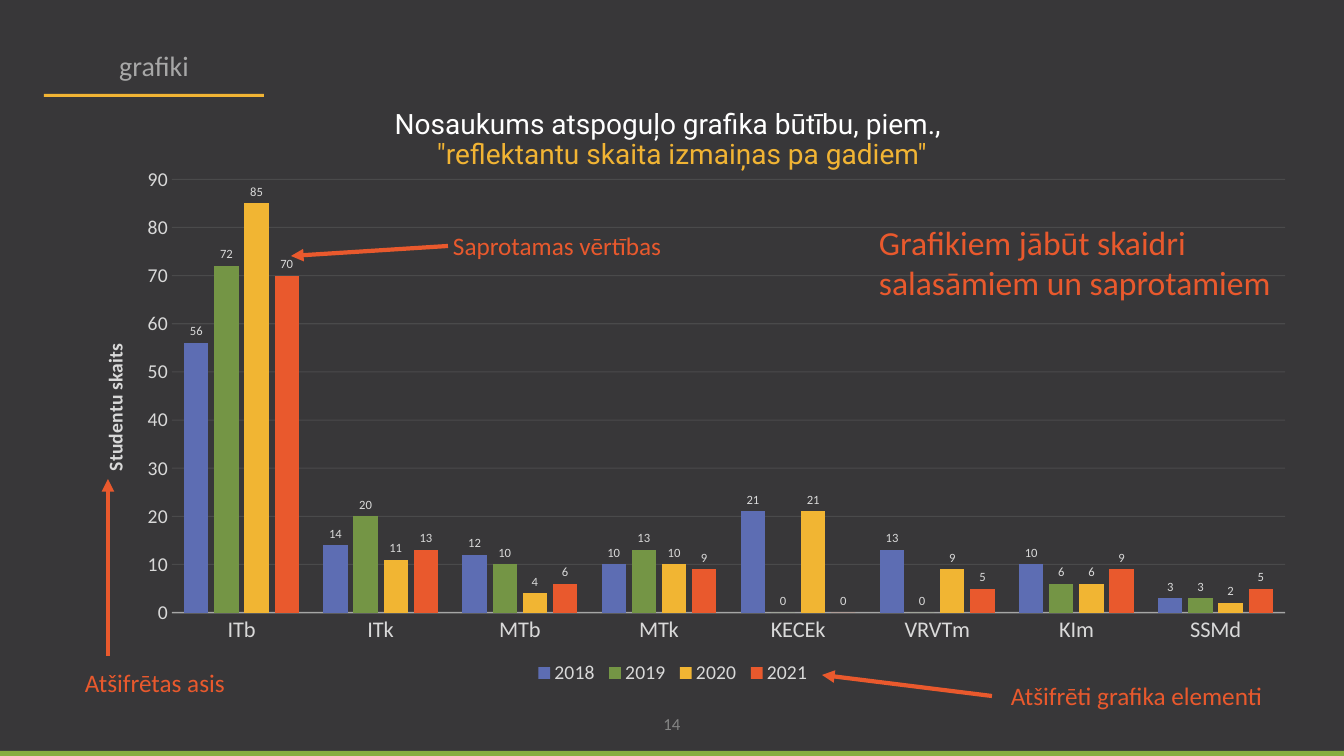
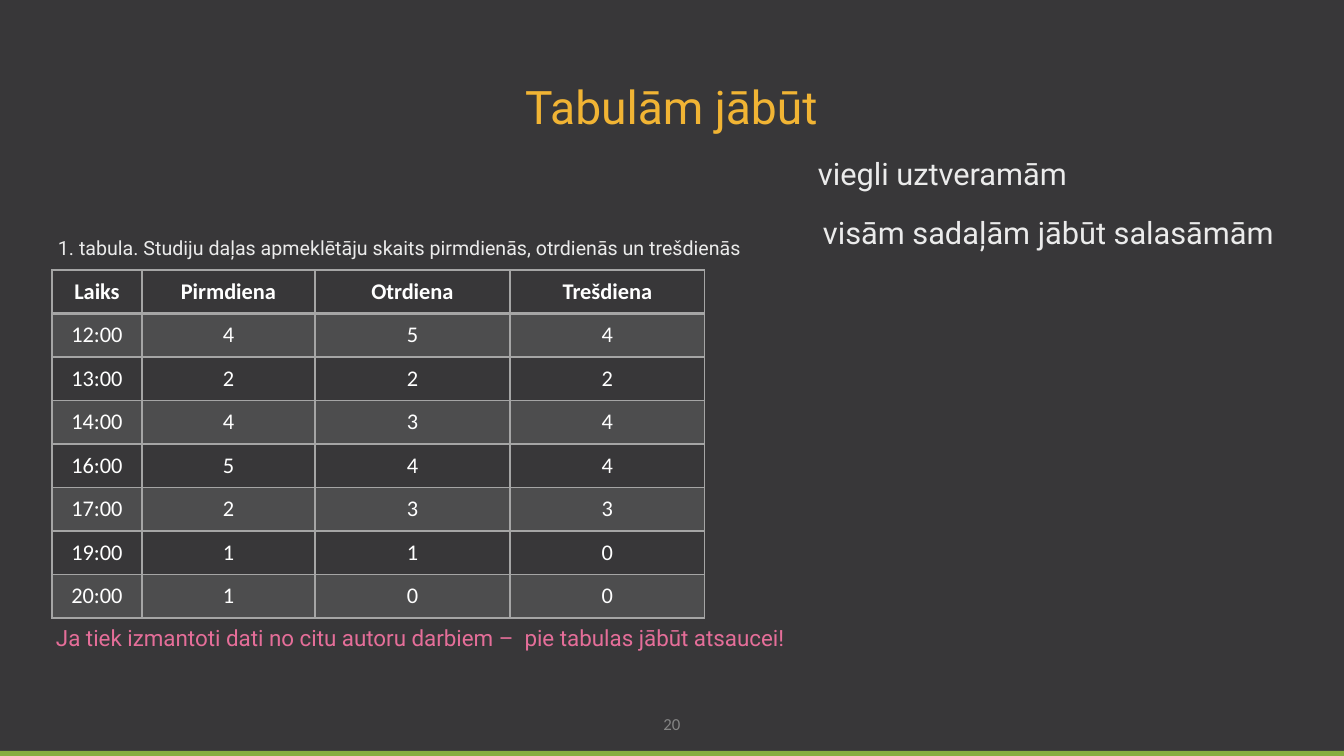
from dataclasses import dataclass
from typing import Any, Optional, Sequence

from lxml.etree import SubElement
from pptx import Presentation
from pptx.chart.data import CategoryChartData
from pptx.dml.color import RGBColor
from pptx.enum.chart import XL_CHART_TYPE as ChartType
from pptx.enum.chart import XL_LABEL_POSITION as LabelPosition
from pptx.enum.chart import XL_LEGEND_POSITION as LegendPosition
from pptx.enum.chart import XL_TICK_MARK as TickMark
from pptx.enum.shapes import MSO_CONNECTOR as Connector
from pptx.enum.shapes import MSO_SHAPE as Shape
from pptx.enum.text import MSO_ANCHOR as Anchor
from pptx.enum.text import MSO_AUTO_SIZE as AutoSize
from pptx.enum.text import PP_ALIGN as Align
from pptx.oxml.ns import qn
from pptx.util import Emu, Pt

# Shared look
EMU_PER_PX = 914400 / 100.8
WIDTH, HEIGHT = 1344, 756
COLORS = {
    "background": "383739", "white": "FFFFFF", "body": "EBEBEB",
    "section": "A7A7A7", "number": "858585", "band": "86AD3F",
    "accent": "F1B434", "callout": "E9592D", "note": "E56E99",
    "grid": "A5A5A5", "axis": "D9D9D9", "rule": "F2F2F2",
    "2018": "5D6DB3", "2019": "749545", "2020": "F1B533", "2021": "E9592D",
}


@dataclass(frozen=True)
class Box:
    left: int
    top: int
    width: int
    height: int

    def emu(self) -> tuple[Emu, ...]:
        return tuple(px(v) for v in (self.left, self.top, self.width, self.height))


@dataclass(frozen=True)
class Line:
    text: str
    size: int
    color: str
    font: str = "Roboto"
    align: Align = Align.LEFT
    spacing: float = 0.9
    before: int = 0
    indent: int = 0


@dataclass(frozen=True)
class Callout:
    text: str
    box: Box
    size: int = 18


@dataclass(frozen=True)
class Arrow:
    start: tuple[int, int]
    end: tuple[int, int]


def px(value: float) -> Emu:
    return Emu(round(value * EMU_PER_PX))


def rgb(name: str) -> RGBColor:
    return RGBColor.from_string(COLORS[name])


def set_all(target: Any, values: dict[str, Any]) -> None:
    for name, value in values.items():
        setattr(target, name, value)


def set_font(font: Any, size: int, color: str, name: str = "Calibri",
             bold: bool = False) -> None:
    set_all(font, {"name": name, "size": Pt(size), "bold": bold})
    font.color.rgb = rgb(color)


def fade(root: Any, percent: int) -> None:
    """Give every colour below root the same opacity."""
    for color in root.iter(qn("a:srgbClr")):
        SubElement(color, qn("a:alpha"), val=str(percent * 1000))


# Text
def write(frame: Any, lines: Sequence[Line], inset: int = 5,
          anchor: Anchor = Anchor.MIDDLE) -> None:
    set_all(frame, {"word_wrap": True, "auto_size": AutoSize.NONE,
                    "vertical_anchor": anchor})
    set_all(frame, {f"margin_{side}": px(inset)
                    for side in ("left", "right", "top", "bottom")})
    for index, line in enumerate(lines):
        para = frame.add_paragraph() if index else frame.paragraphs[0]
        set_all(para, {"alignment": line.align, "line_spacing": line.spacing,
                       "space_before": Pt(line.before), "space_after": Pt(0)})
        properties = para._p.get_or_add_pPr()
        properties.set("marL", str(px(line.indent)))
        properties.set("indent", "0")
        SubElement(properties, qn("a:buNone"))
        span = para.add_run()
        span.text = line.text
        set_font(span.font, line.size, line.color, line.font)


def add_text(page: Any, box: Box, lines: Sequence[Line], inset: int = 5,
             anchor: Anchor = Anchor.MIDDLE) -> None:
    write(page.shapes.add_textbox(*box.emu()).text_frame, lines, inset, anchor)


def fill_placeholder(holder: Any, box: Box, lines: Sequence[Line],
                     inset: int = 5) -> None:
    set_all(holder, dict(zip(("left", "top", "width", "height"), box.emu())))
    write(holder.text_frame, lines, inset)


# Simple shapes
def add_bar(page: Any, box: Box, color: str) -> None:
    bar = page.shapes.add_shape(Shape.RECTANGLE, *box.emu())
    bar.shadow.inherit = False
    bar.fill.solid()
    bar.fill.fore_color.rgb = rgb(color)
    bar.line.fill.background()


def add_arrow(page: Any, arrow: Arrow) -> None:
    points = (px(v) for v in arrow.start + arrow.end)
    link = page.shapes.add_connector(Connector.STRAIGHT, *points)
    link.line.color.rgb = rgb("callout")
    link.line.width = Pt(3)
    SubElement(link.line._ln, qn("a:tailEnd"), type="triangle")
    SubElement(link._element.spPr, qn("a:effectLst"))


def add_page(deck: Any, layout: int, number: int) -> Any:
    page = deck.slides.add_slide(deck.slide_layouts[layout])
    add_text(page, Box(0, 709, WIDTH, 29),
             [Line(str(number), 12, "number", "Calibri", Align.CENTER, 1)])
    add_bar(page, Box(0, 751, WIDTH, 10), "band")
    return page


# Chart
CATEGORIES = ("ITb", "ITk", "MTb", "MTk", "KECEk", "VRVTm", "KIm", "SSMd")
APPLICANTS = {
    "2018": (56, 14, 12, 10, 21, 13, 10, 3),
    "2019": (72, 20, 10, 13, 0, 0, 6, 3),
    "2020": (85, 11, 4, 10, 21, 9, 6, 2),
    "2021": (70, 13, 6, 9, 0, 5, 9, 5),
}


def place(part: Any, index: int, inner: bool = False, **fractions: float) -> None:
    """Put a chart part at fractions of the chart area."""
    for old in part.findall(qn("c:layout")):
        part.remove(old)
    layout = SubElement(part, qn("c:layout"))
    part.insert(index, layout)
    manual = SubElement(layout, qn("c:manualLayout"))
    values = {"layoutTarget": "inner"} if inner else {}
    values |= {"xMode": "edge", "yMode": "edge"} | fractions
    for name, value in values.items():
        SubElement(manual, qn(f"c:{name}"), val=str(value))


def style_axes(chart: Any) -> None:
    names, values = chart.category_axis, chart.value_axis
    for axis, size in ((names, 16), (values, 14)):
        set_all(axis, {"major_tick_mark": TickMark.NONE,
                       "minor_tick_mark": TickMark.NONE})
        set_font(axis.tick_labels.font, size, "axis")
    names.format.line.color.rgb = rgb("rule")
    names.format.line.width = Pt(1)
    fade(names._element.find(qn("c:spPr")), 54)

    set_all(values, {"minimum_scale": 0, "maximum_scale": 90, "major_unit": 10})
    values.format.line.fill.background()
    grid = values.major_gridlines.format.line
    grid.color.rgb = rgb("rule")
    grid.width = Pt(0.75)
    fade(values._element.find(qn("c:majorGridlines")), 10)

    frame = values.axis_title.text_frame
    frame.text = "Studentu skaits"
    set_font(frame.paragraphs[0].runs[0].font, 14, "axis", bold=True)
    frame._txBody.bodyPr.set("rot", "-5400000")
    frame._txBody.bodyPr.set("vert", "horz")
    place(values.axis_title._element, 1, x=0.02, y=0.34)


def add_applicant_chart(page: Any, box: Box) -> None:
    data = CategoryChartData()
    data.categories = CATEGORIES
    for year, counts in APPLICANTS.items():
        data.add_series(year, counts)
    chart = page.shapes.add_chart(ChartType.COLUMN_CLUSTERED, *box.emu(), data).chart
    set_font(chart.font, 10, "axis")
    set_all(chart, {"has_title": False, "has_legend": True})
    space = chart._chartSpace
    backdrop = SubElement(space, qn("c:spPr"))
    SubElement(backdrop, qn("a:noFill"))
    space.find(qn("c:chart")).addnext(backdrop)

    plot = chart.plots[0]
    set_all(plot, {"gap_width": 100, "overlap": -24, "vary_by_categories": False,
                   "has_data_labels": True})
    set_all(plot.data_labels, {"show_value": True,
                               "position": LabelPosition.OUTSIDE_END})
    set_font(plot.data_labels.font, 9, "axis")
    for series in plot.series:
        series.format.fill.solid()
        series.format.fill.fore_color.rgb = rgb(series.name)
    style_axes(chart)

    set_all(chart.legend, {"position": LegendPosition.BOTTOM,
                           "include_in_layout": False})
    set_font(chart.legend.font, 14, "axis")
    place(chart.legend._element, 1, x=0.37, y=0.94, w=0.23, h=0.05)
    place(space.find(qn("c:chart")).find(qn("c:plotArea")), 0, True,
          x=0.08, y=0.04, w=0.9, h=0.81)


# Table
COLUMN_WIDTHS = (90, 173, 195, 195)
VISITORS = (
    ("Laiks", "Pirmdiena", "Otrdiena", "Trešdiena"),
    ("12:00", 4, 5, 4),
    ("13:00", 2, 2, 2),
    ("14:00", 4, 3, 4),
    ("16:00", 5, 4, 4),
    ("17:00", 2, 3, 3),
    ("19:00", 1, 1, 0),
    ("20:00", 1, 0, 0),
)


def add_borders(cell: Any, row: int) -> None:
    properties = cell._tc.get_or_add_tcPr()
    widths = {"L": 1, "R": 1, "T": 2 if row == 1 else 1, "B": 2 if row == 0 else 1}
    for index, (side, width) in enumerate(widths.items()):
        border = SubElement(properties, qn(f"a:ln{side}"), w=str(Pt(width)))
        properties.insert(index, border)
        fill = SubElement(border, qn("a:solidFill"))
        SubElement(fill, qn("a:srgbClr"), val=COLORS["grid"])


def add_visitor_table(page: Any, box: Box) -> None:
    table = page.shapes.add_table(len(VISITORS), len(COLUMN_WIDTHS), *box.emu()).table
    set_all(table, {"first_row": False, "horz_banding": False})
    for column, width in zip(table.columns, COLUMN_WIDTHS):
        column.width = px(width)
    for row, values in enumerate(VISITORS):
        for column, value in enumerate(values):
            cell = table.cell(row, column)
            cell.vertical_anchor = Anchor.MIDDLE
            para = cell.text_frame.paragraphs[0]
            para.alignment = Align.CENTER
            span = para.add_run()
            span.text = str(value)
            set_font(span.font, 16, "white", bold=row == 0)
            if row % 2:
                cell.fill.solid()
                cell.fill.fore_color.rgb = rgb("grid")
                fade(cell._tc.tcPr, 20)
            else:
                cell.fill.background()
            add_borders(cell, row)


# Slides
CALLOUTS = (
    Callout("Atšifrēti grafika elementi", Box(1006, 675, 289, 40)),
    Callout("Saprotamas vērtības", Box(448, 225, 289, 40)),
    Callout("Atšifrētas asis", Box(80, 662, 289, 40)),
    Callout("Grafikiem jābūt skaidri salasāmiem un saprotamiem",
            Box(874, 217, 422, 92), 24),
)
ARROWS = (
    Arrow((992, 696), (822, 675)),
    Arrow((448, 246), (291, 256)),
    Arrow((108, 656), (108, 479)),
)


def title_box(top: int) -> Box:
    return Box(255, top, 833, 99)


def build_chart_page(deck: Any) -> None:
    page = add_page(deck, 5, 14)
    fill_placeholder(page.shapes.title, title_box(91), [
        Line("Nosaukums atspoguļo grafika būtību, piem., ", 20, "white",
             align=Align.CENTER),
        Line('"reflektantu skaita izmaiņas pa gadiem"', 20, "accent",
             align=Align.CENTER, indent=21),
    ])
    add_text(page, Box(44, 24, 220, 86),
             [Line("grafiki", 20, "section", "Calibri", Align.CENTER)], 21)
    add_bar(page, Box(44, 94, 220, 3), "accent")
    add_applicant_chart(page, Box(73, 158, 1237, 535))
    for arrow in ARROWS:
        add_arrow(page, arrow)
    for note in CALLOUTS:
        add_text(page, note.box, [Line(note.text, note.size, "callout", "Calibri",
                                       spacing=1)], anchor=Anchor.TOP)


def build_table_page(deck: Any) -> None:
    page = add_page(deck, 1, 20)
    fill_placeholder(page.shapes.title, title_box(60),
                     [Line("Tabulām jābūt", 33, "accent", align=Align.CENTER)])
    fill_placeholder(page.placeholders[1], Box(812, 153, 527, 104), [
        Line("viegli uztveramām", 22, "body"),
        Line("visām sadaļām jābūt salasāmām", 22, "body", before=19, indent=5),
    ], 6)
    add_text(page, Box(52, 228, 792, 42), [
        Line("1. tabula. Studiju daļas apmeklētāju skaits pirmdienās, "
             "otrdienās un trešdienās", 14, "body")], 6)
    add_visitor_table(page, Box(52, 270, sum(COLUMN_WIDTHS), 348))
    add_text(page, Box(50, 587, 760, 105), [
        Line("Ja tiek izmantoti dati no citu autoru darbiem –  "
             "pie tabulas jābūt atsaucei!", 16, "note")], 6)


def main() -> None:
    deck = Presentation()
    set_all(deck, {"slide_width": px(WIDTH), "slide_height": px(HEIGHT)})
    backdrop = deck.slide_master.background.fill
    backdrop.solid()
    backdrop.fore_color.rgb = rgb("background")
    build_chart_page(deck)
    build_table_page(deck)
    deck.save("out.pptx")


if __name__ == "__main__":
    main()
